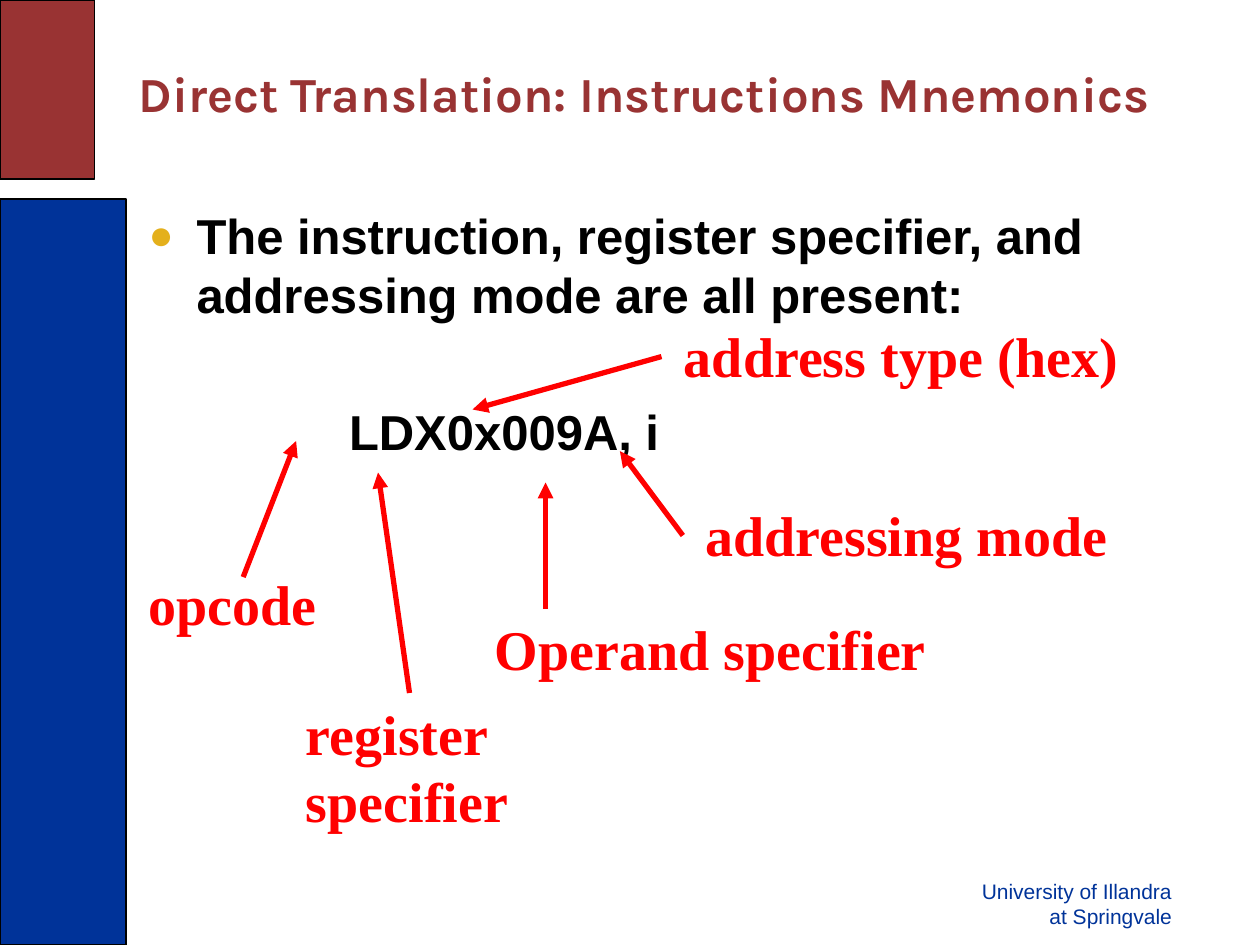
from lxml import etree
from pptx import Presentation
from pptx.dml.color import RGBColor
from pptx.enum.shapes import MSO_CONNECTOR as Connector, MSO_SHAPE as Shape
from pptx.enum.text import MSO_ANCHOR as Anchor, MSO_AUTO_SIZE as AutoSize, PP_ALIGN as Align
from pptx.oxml.ns import qn
from pptx.util import Inches, Pt

BLUE, MAROON, BLACK, RED, GOLD = "003399", "993333", "000000", "FF0000", "E4B01C"

CALLOUTS = [
    ("opcode", (1.08, 4.47, 1.56, 0.63), (1.93, 4.58), (2.35, 3.5)),
    ("register\nspecifier", (2.33, 5.5, 1.81, 1.17), (3.25, 5.5), (3, 3.75)),
    ("Operand specifier", (3.83, 4.83, 3.62, 0.63), (4.33, 4.83), (4.33, 3.83)),
    ("address type (hex)", (5.33, 2.5, 3.66, 0.63), (5.25, 2.83), (3.75, 3.25)),
    ("addressing mode", (5.5, 3.92, 3.4, 0.63), (5.42, 4.25), (4.92, 3.58)),
]


def color(value):
    return RGBColor.from_string(value)


def inches(values):
    return [Inches(value) for value in values]


def place(shape, box):
    shape.left, shape.top, shape.width, shape.height = inches(box)


def style(paragraph, name, size, value, bold=False, align=Align.LEFT):
    font = paragraph.font
    font.name, font.size, font.bold = name, Pt(size), bold
    font.color.rgb = color(value)
    paragraph.alignment = align


def add_panel(slide, box, fill):
    panel = slide.shapes.add_shape(Shape.RECTANGLE, *inches(box))
    panel.shadow.inherit = False
    panel.fill.solid()
    panel.fill.fore_color.rgb = color(fill)
    panel.line.color.rgb = color(BLACK)
    panel.line.width = Pt(0.75)


def add_affiliation(slide, box):
    frame = slide.shapes.add_textbox(*inches(box)).text_frame
    frame.word_wrap = True
    paragraph = frame.paragraphs[0]
    paragraph.text = "University of Illandra\vat Springvale"
    style(paragraph, "Arial", 12, BLUE, align=Align.RIGHT)


def fill_title(title, box):
    place(title, box)
    frame = title.text_frame
    frame.text = "Direct Translation: Instructions Mnemonics"
    frame.auto_size = AutoSize.NONE
    frame.vertical_anchor = Anchor.MIDDLE
    style(frame.paragraphs[0], "Karla", 28, MAROON, bold=True)


def set_indent(paragraph, left, first=0):
    properties = paragraph._p.get_or_add_pPr()
    properties.set("marL", str(Inches(left)))
    properties.set("indent", str(Inches(first)))
    return properties


def fill_body(body, box):
    place(body, box)
    frame = body.text_frame
    frame.auto_size = AutoSize.NONE
    frame.text = ("The instruction, register specifier, and addressing mode are all present:"
                  "\nLDX0x009A, i")
    statement, example = frame.paragraphs
    for paragraph, gap in ((statement, 4), (example, 45)):
        style(paragraph, "Arial", 28, BLACK, bold=True)
        paragraph.space_before = Pt(gap)

    bullet = set_indent(statement, 0.38, -0.38)
    bullet_color = etree.SubElement(bullet, qn("a:buClr"))
    etree.SubElement(bullet_color, qn("a:srgbClr"), val=GOLD)
    etree.SubElement(bullet, qn("a:buSzPct"), val="85000")
    etree.SubElement(bullet, qn("a:buFont"), typeface="Arial")
    etree.SubElement(bullet, qn("a:buChar"), char="●")
    bullet.append(bullet.find(qn("a:defRPr")))

    plain = set_indent(example, 1.59)
    etree.SubElement(plain, qn("a:buNone"))
    plain.append(plain.find(qn("a:defRPr")))


def add_callout(slide, text, box, start, end):
    group = slide.shapes.add_group_shape()
    frame = group.shapes.add_textbox(*inches(box)).text_frame
    frame.word_wrap = False
    frame.auto_size = AutoSize.SHAPE_TO_FIT_TEXT
    frame.text = text
    for paragraph in frame.paragraphs:
        style(paragraph, "Times New Roman", 32, RED, bold=True)

    arrow = group.shapes.add_connector(Connector.STRAIGHT, *inches(start + end))
    arrow.line.color.rgb = color(RED)
    arrow.line.width = Pt(3)
    etree.SubElement(arrow.line._get_or_add_ln(), qn("a:tailEnd"), type="triangle")
    etree.SubElement(arrow._element.spPr, qn("a:effectLst"))


def main():
    presentation = Presentation()
    presentation.slide_width, presentation.slide_height = Inches(10), Inches(7.5)
    slide = presentation.slides.add_slide(presentation.slide_layouts[1])
    add_panel(slide, (0, 1.58, 1, 5.92), BLUE)
    add_panel(slide, (0, 0, 0.75, 1.42), MAROON)
    add_affiliation(slide, (7.65, 6.92, 1.75, 0.5))
    fill_title(slide.shapes.title, (1, 0.3, 8.75, 0.87))
    fill_body(slide.placeholders[1], (1.08, 1.58, 8.42, 5.12))
    for callout in CALLOUTS:
        add_callout(slide, *callout)
    presentation.save("out.pptx")


if __name__ == "__main__":
    main()
